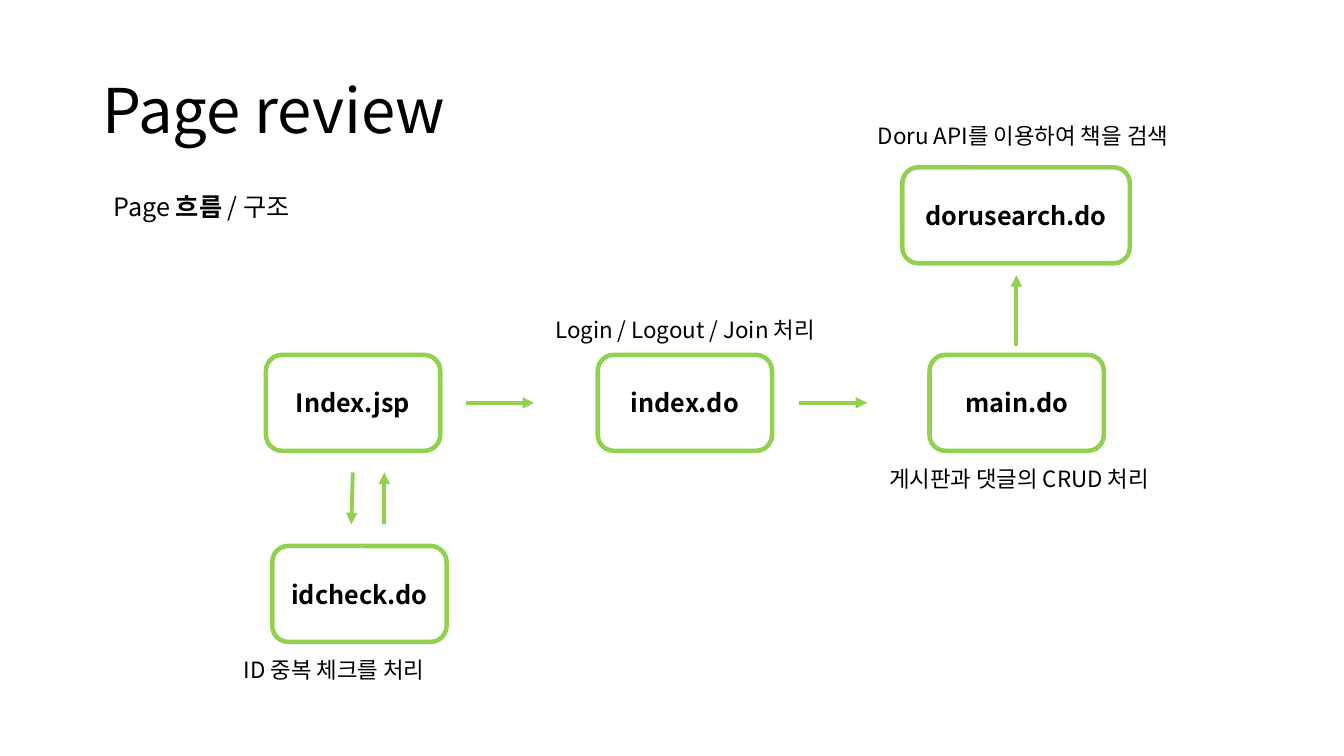
"""Build the page review slide showing how the site's pages call each other."""
from dataclasses import dataclass

from lxml.etree import SubElement
from pptx import Presentation
from pptx.dml.color import RGBColor
from pptx.enum.shapes import MSO_CONNECTOR as Link, MSO_SHAPE as Preset
from pptx.enum.text import MSO_ANCHOR as Anchor, MSO_AUTO_SIZE as Fit, PP_ALIGN as Align
from pptx.oxml.ns import qn
from pptx.util import Pt


@dataclass(frozen=True)
class Theme:
    """Colours, font, type sizes and line widths of the slide."""
    ink: RGBColor = RGBColor(0, 0, 0)
    accent: RGBColor = RGBColor(0x92, 0xD0, 0x50)
    font: str = "Noto Sans CJK KR"
    title: int = 44
    body: int = 18
    note: int = 16
    outline: float = 3.25
    arrow: float = 2.75


THEME = Theme()
PAGE_WIDTH, PAGE_HEIGHT = 124.5, 68.5
ROW_LEFT, ROW_TOP, ROW_STEP = 190, 253.5, 237
ROW_MIDDLE = ROW_TOP + PAGE_HEIGHT / 2
NOTE_HEIGHT = 26.5


def apply_format(target, values):
    """Set each named attribute on the target."""
    for name, value in values.items():
        setattr(target, name, value)


def write(paragraph, text, size, bold=False):
    """Append a run in the theme font for Latin and Korean text."""
    run = paragraph.add_run()
    run.text = text
    apply_format(run.font, {"name": THEME.font, "size": Pt(size), "bold": bold})
    run.font.color.rgb = THEME.ink
    SubElement(run.font._element, qn("a:ea"), typeface=THEME.font)


def add_text(slide, box, pieces, size, frame_format):
    """Add a text box from (text, bold) pieces and return its paragraph."""
    frame = slide.shapes.add_textbox(*map(Pt, box)).text_frame
    apply_format(frame, {"word_wrap": True, **frame_format})
    paragraph = frame.paragraphs[0]
    for text, bold in pieces:
        write(paragraph, text, size, bold)
    return paragraph


def add_note(slide, left, top, width, text):
    """Add a caption describing what a page does."""
    add_text(slide, (left, top, width, NOTE_HEIGHT), [(text, False)], THEME.note,
             {"auto_size": Fit.SHAPE_TO_FIT_TEXT})


def add_page(slide, name, left, top, width=PAGE_WIDTH):
    """Add an outlined rounded box carrying a page name."""
    page = slide.shapes.add_shape(
        Preset.ROUNDED_RECTANGLE, *map(Pt, (left, top, width, PAGE_HEIGHT)))
    page.shadow.inherit = False
    page.fill.background()
    page.line.color.rgb = THEME.accent
    page.line.width = Pt(THEME.outline)
    apply_format(page.text_frame, {"word_wrap": True, "vertical_anchor": Anchor.MIDDLE})
    paragraph = page.text_frame.paragraphs[0]
    paragraph.alignment = Align.CENTER
    write(paragraph, name, THEME.body, bold=True)


def add_arrow(slide, start, end):
    """Add a straight arrow pointing from start to end."""
    arrow = slide.shapes.add_connector(Link.STRAIGHT, *map(Pt, (*start, *end)))
    arrow.line.color.rgb = THEME.accent
    arrow.line.width = Pt(THEME.arrow)
    SubElement(arrow.line._get_or_add_ln(), qn("a:tailEnd"), type="triangle")
    SubElement(arrow._element.spPr, qn("a:effectLst"))


def main():
    """Compose the slide and save it."""
    deck = Presentation()
    apply_format(deck, {"slide_width": Pt(960), "slide_height": Pt(540)})
    slide = deck.slides.add_slide(deck.slide_layouts[6])

    heading = add_text(slide, (66, 29, 828, 104), [("Page review", False)],
                       THEME.title, {"vertical_anchor": Anchor.MIDDLE})
    heading.line_spacing = 0.9
    add_text(slide, (74, 133, 374, 29),
             [("Page ", False), ("흐름 ", True), ("/ 구조", False)],
             THEME.body, {"auto_size": Fit.SHAPE_TO_FIT_TEXT})

    for column, name in enumerate(("Index.jsp", "index.do", "main.do")):
        add_page(slide, name, ROW_LEFT + column * ROW_STEP, ROW_TOP)
    add_page(slide, "idcheck.do", 194.5, 390)
    add_page(slide, "dorusearch.do", 644.5, 119.5, 162.5)

    for start_x in (333, 571):
        add_arrow(slide, (start_x, ROW_MIDDLE), (start_x + 48.5, ROW_MIDDLE))
    add_arrow(slide, (252, 337.5), (251, 374.5))
    add_arrow(slide, (274.5, 374.5), (274.5, 337.5))
    add_arrow(slide, (726, 247), (726, 196.5))

    for left, top, width, text in (
        (389.5, 222, 263, "Login / Logout / Join 처리"),
        (628, 329, 249, "게시판과 댓글의 CRUD 처리"),
        (620, 84, 249, "Doru API를 이용하여 책을 검색"),
        (167, 465, 249, "ID 중복 체크를 처리"),
    ):
        add_note(slide, left, top, width, text)

    deck.save("out.pptx")


main()
